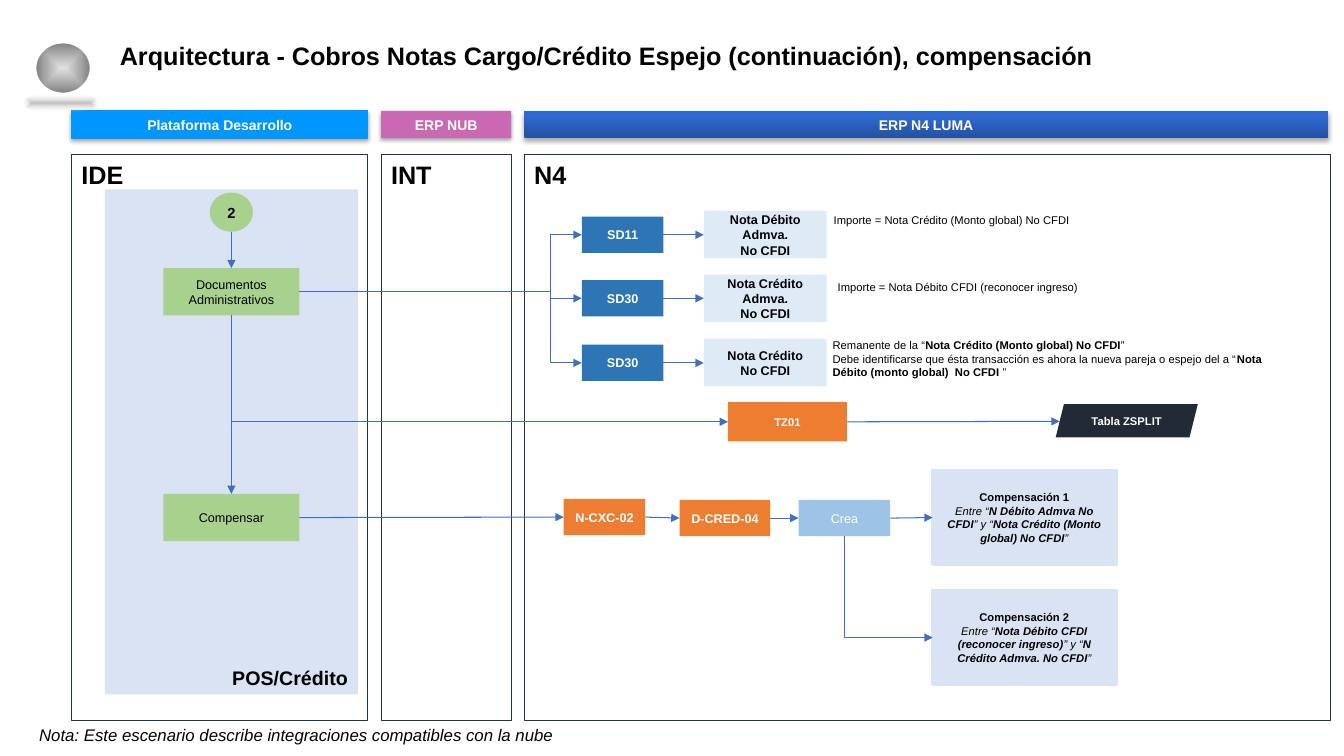
from pptx import Presentation
from pptx.dml.color import RGBColor
from pptx.enum.shapes import MSO_CONNECTOR, MSO_SHAPE
from pptx.enum.text import MSO_ANCHOR, PP_ALIGN
from pptx.oxml import parse_xml
from pptx.oxml.ns import nsdecls, qn
from pptx.util import Inches, Pt

BLACK = RGBColor(0x00, 0x00, 0x00)
WHITE = RGBColor(0xFF, 0xFF, 0xFF)
NAVY = RGBColor(0x1E, 0x32, 0x56)
ARROW = RGBColor(0x3F, 0x6F, 0xC3)
SKY = RGBColor(0x00, 0x96, 0xFF)
PINK = RGBColor(0xCA, 0x69, 0xB3)
PALE = RGBColor(0xDA, 0xE3, 0xF3)
GREEN = RGBColor(0xA9, 0xD1, 0x8E)
BLUE = RGBColor(0x2E, 0x75, 0xB6)
ICE = RGBColor(0xDE, 0xEB, 0xF7)
ORANGE = RGBColor(0xED, 0x7D, 0x31)
LIGHT = RGBColor(0x9D, 0xC3, 0xE6)
DARK = RGBColor(0x22, 0x2A, 0x35)

prs = Presentation()
prs.slide_width, prs.slide_height = Inches(13.33), Inches(7.5)
s = prs.slides.add_slide(prs.slide_layouts[6])


def box(area, text="", size=9, color=BLACK, fill=None, line=None, width=0.75, bold=False,
        align=PP_ALIGN.CENTER, anchor=MSO_ANCHOR.MIDDLE, shape=MSO_SHAPE.RECTANGLE):
    """Add a shape, or a text box if shape is None; * in the text switches bold on and off."""
    area = [Inches(v) for v in area]
    if shape is None:
        sp = s.shapes.add_textbox(*area)
    else:
        sp = s.shapes.add_shape(shape, *area)
        sp.shadow.inherit = False
    if fill is None:
        sp.fill.background()
    else:
        sp.fill.solid()
        sp.fill.fore_color.rgb = fill
    if line is None:
        sp.line.fill.background()
    else:
        sp.line.color.rgb = line
        sp.line.width = Pt(width)
    tf = sp.text_frame
    tf.word_wrap = True
    tf.vertical_anchor = anchor
    for i, row in enumerate(text.split("\n") if text else []):
        p = tf.paragraphs[0] if i == 0 else tf.add_paragraph()
        p.alignment = align
        p.font.name, p.font.size, p.font.bold = "Arial", Pt(size), bold
        p.font.color.rgb = color
        for j, part in enumerate(row.split("*")):
            if part:
                r = p.add_run()
                r.text = part
                if "*" in row:
                    r.font.bold = j % 2 == 1
    return sp


def link(begin, end, elbow=None, adj=None):
    """Join two (shape, side) ends with an arrow; None leaves an end free."""
    c = s.shapes.add_connector(MSO_CONNECTOR.ELBOW if elbow else MSO_CONNECTOR.STRAIGHT, 0, 0, 0, 0)
    if begin:
        c.begin_connect(*begin)
    if end:
        c.end_connect(*end)
    c.line.color.rgb = ARROW
    c.line.width = Pt(0.75)
    spPr = c._element.spPr
    c.line._get_or_add_ln().append(parse_xml(f'<a:tailEnd {nsdecls("a")} type="triangle"/>'))
    spPr.append(parse_xml(f'<a:effectLst {nsdecls("a")}/>'))
    geom = spPr.find(qn("a:prstGeom"))
    if elbow == "side":
        geom.get_or_add_avLst().append(
            parse_xml(f'<a:gd {nsdecls("a")} name="adj1" fmla="val {int(adj * 100000)}"/>'))
    elif elbow == "down":
        # Down, then right: a one-bend connector turned by 270 degrees
        dx, dy = c.width, c.height
        c.left, c.top = c.left + (dx - dy) // 2, c.top + (dy - dx) // 2
        c.width, c.height = dy, dx
        geom.set("prst", "bentConnector2")
        xfrm = spPr.find(qn("a:xfrm"))
        xfrm.set("rot", "16200000")
        xfrm.set("flipH", "1")
    return c


# Title and footnote
box((1.09, 0.35, 10.14, 0.4), "Arquitectura - Cobros Notas Cargo/Crédito Espejo (continuación), compensación",
    18, bold=True, align=PP_ALIGN.LEFT, anchor=MSO_ANCHOR.TOP, shape=None)
note = box((0.29, 7.14, 5.74, 0.3), "Nota: Este escenario describe integraciones compatibles con la nube",
           12, align=PP_ALIGN.LEFT, anchor=MSO_ANCHOR.TOP, shape=None)
note.text_frame.paragraphs[0].font.italic = True

# POS area behind the first column
box((1.04, 1.88, 2.51, 5.01), "POS/Crédito", 14, fill=PALE, bold=True,
    align=PP_ALIGN.RIGHT, anchor=MSO_ANCHOR.BOTTOM)

# Columns: header bar and panel
for x, w, header, name, fill, line in (
        (0.71, 2.94, "Plataforma Desarrollo", "IDE", SKY, SKY),
        (3.78, 1.29, "ERP NUB", "INT", PINK, None),
        (5.2, 7.97, "ERP N4 LUMA", "N4", None, None)):
    bar = box((x, 1.1, w, 0.27), header, 10, WHITE, fill, line, bold=True)
    bar._element.spPr.find(qn("a:effectLst")).append(parse_xml(
        f'<a:outerShdw {nsdecls("a")} blurRad="{Pt(3.1)}" dist="{Pt(1.8)}" dir="5400000" rotWithShape="0">'
        '<a:srgbClr val="000000"><a:alpha val="35000"/></a:srgbClr></a:outerShdw>'))
    box((x, 1.53, 8 if name == "N4" else w, 5.62), name, 18, line=NAVY, bold=True,
        align=PP_ALIGN.LEFT, anchor=MSO_ANCHOR.TOP)

# Sphere, its shade and the gradient of the last bar
sphere = box((0.35, 0.42, 0.55, 0.51), line=WHITE, width=1.5, shape=MSO_SHAPE.OVAL)
shade = box((0.22, 0.93, 0.77, 0.19), shape=MSO_SHAPE.OVAL)
CENTRE = '<a:path path="rect"><a:fillToRect l="50000" t="50000" r="50000" b="50000"/></a:path>'
for sp, stops, direction in (
        (sphere, ((0, "E0E0E0", 100), (100, "808080", 100)), CENTRE),
        (shade, ((0, "808080", 50), (100, "FFFFFF", 0)), CENTRE),
        (bar, ((0, "2451A1", 100), (80, "2F69D1", 100), (100, "2C69D5", 100)),
         '<a:lin ang="16200000" scaled="0"/>')):
    gs = "".join(f'<a:gs pos="{pos * 1000}"><a:srgbClr val="{rgb}"><a:alpha val="{alpha * 1000}"/>'
                 '</a:srgbClr></a:gs>' for pos, rgb, alpha in stops)
    spPr = sp._element.spPr
    spPr.replace(spPr.find(qn("a:noFill")), parse_xml(
        f'<a:gradFill {nsdecls("a")} rotWithShape="1"><a:gsLst>{gs}</a:gsLst>{direction}</a:gradFill>'))

# Steps of the first column
start = box((2.08, 1.91, 0.43, 0.39), "2", 10.5, fill=GREEN, bold=True, shape=MSO_SHAPE.OVAL)
docs = box((1.62, 2.66, 1.35, 0.47), "Documentos Administrativos", fill=GREEN)
settle = box((1.62, 4.9, 1.35, 0.47), "Compensar", fill=GREEN)
first = link(None, (docs, 0))
first.begin_x, first.begin_y = docs.left + docs.width // 2, start.top + start.height
link((docs, 2), (settle, 0))

# Documents with their remarks
for y, code, result, x, top, w, h, remark in (
        (2.33, "SD11", "Nota Débito Admva.\nNo CFDI", 8.17, 2.07, 2.72, 0.24,
         "Importe = Nota Crédito (Monto global) No CFDI"),
        (2.96, "SD30", "Nota Crédito Admva.\nNo CFDI", 8.21, 2.73, 2.65, 0.24,
         "Importe = Nota Débito CFDI (reconocer ingreso)"),
        (3.6, "SD30", "Nota Crédito\nNo CFDI", 8.16, 3.31, 4.69, 0.5,
         "Remanente de la “*Nota Crédito (Monto global) No CFDI*”\n"
         "Debe identificarse que ésta transacción es ahora la nueva pareja o espejo del a "
         "“*Nota Débito (monto global)  No CFDI *”")):
    order = box((5.77, y - 0.18, 0.81, 0.36), code, color=WHITE, fill=BLUE, bold=True)
    memo = box((6.98, y - 0.235, 1.22, 0.47), result, fill=ICE, bold=True)
    box((x, top, w, h), remark, 8, align=PP_ALIGN.LEFT, anchor=MSO_ANCHOR.TOP, shape=None)
    link((docs, 3), (order, 1), "side", 0.89)
    link((order, 3), (memo, 1))

# Split table
split = box((7.22, 3.99, 1.18, 0.39), "TZ01", 8, WHITE, ORANGE, bold=True)
box((10.47, 4.01, 1.41, 0.33), "Tabla ZSPLIT", 8, WHITE, DARK, bold=True, shape=MSO_SHAPE.PARALLELOGRAM)
link((docs, 2), (split, 1), "down")
last = link((split, 3), None)
last.end_x, last.end_y = Inches(10.51), Inches(4.18)

# Settlement chain
prev = settle
for x, y, w, text, fill, bold in ((5.59, 4.95, 0.81, "N-CXC-02", ORANGE, True),
                                  (6.74, 4.96, 0.9, "D-CRED-04", ORANGE, True),
                                  (7.92, 4.96, 0.91, "Crea", LIGHT, False)):
    step = box((x, y, w, 0.36), text, color=WHITE, fill=fill, bold=bold)
    link((prev, 3), (step, 1))
    prev = step

# Resulting settlements
for y, side, elbow, text in (
        (4.67, 3, None, "*Compensación 1*\nEntre “*N Débito Admva No CFDI*” y “*Nota Crédito (Monto global) No CFDI*”"),
        (5.86, 2, "down", "*Compensación 2*\nEntre “*Nota Débito CFDI*\n"
                          "*(reconocer ingreso)*” y “*N Crédito Admva. No CFDI*”")):
    sp = box((9.25, y, 1.82, 0.93), text, 8, fill=PALE, line=PALE, width=2)
    for p in sp.text_frame.paragraphs[1:]:
        p.font.italic = True
    link((step, side), (sp, 1), elbow)

prs.save("out.pptx")
